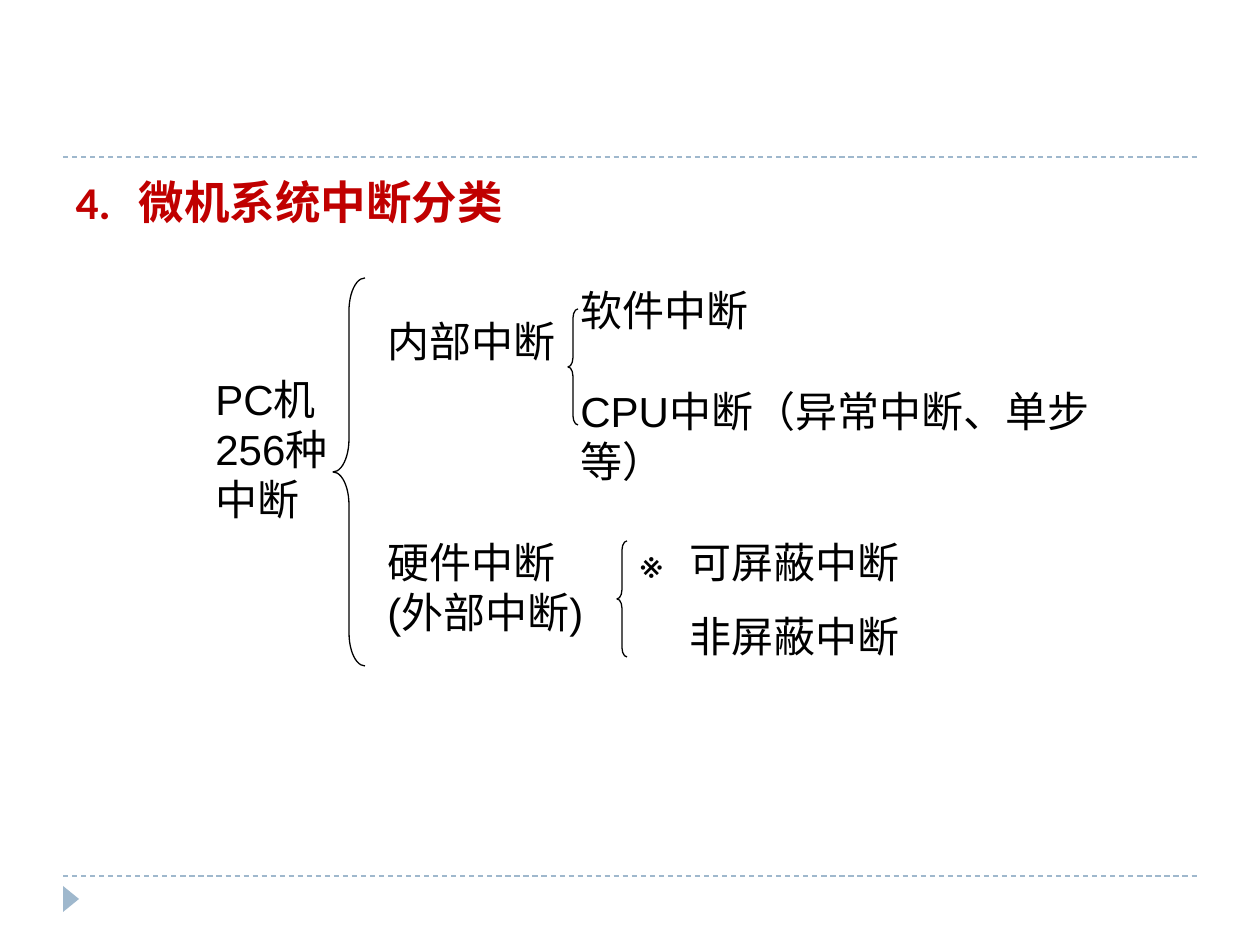
from lxml.etree import SubElement
from pptx import Presentation
from pptx.dml.color import RGBColor
from pptx.enum.dml import MSO_LINE
from pptx.enum.shapes import MSO_CONNECTOR, MSO_SHAPE
from pptx.enum.text import MSO_ANCHOR, PP_ALIGN
from pptx.oxml.ns import qn
from pptx.util import Pt

HEAD = "4.\t微机系统中断分类"
LABELS = [
    ((375, 309, 195, 63), ["内部中断"], 0),
    ((375, 530, 223, 115), ["硬件中断", "(外部中断)"], 0),
    ((568, 278, 617, 165), ["软件中断", "CPU中断（异常中断、单步等）"], 29),
    ((203, 367, 140, 165), ["PC机", "256种", "中断"], 0),
    ((677, 530, 237, 63), ["可屏蔽中断"], 0),
    ((677, 604, 237, 63), ["非屏蔽中断"], 0),
    ((627, 530, 68, 64), ["※"], 0),
]
BRACES = [
    ((333, 278, 32, 388), 1.03),
    ((617, 541, 10, 116), 0.92),
    ((568, 309, 10, 116), 0.92),
]
RULES = [157, 876]
BLUE = "9FB8CD"


def px(n):
    return round(n * 914400 / 126)


def rgb(code):
    return RGBColor.from_string(code)


def write(frame, lines, size=24, font="Arial", color="000000", bold=False, gap=0):
    frame.word_wrap = True
    frame.vertical_anchor = MSO_ANCHOR.TOP
    for i, line in enumerate(lines):
        para = frame.paragraphs[0] if i == 0 else frame.add_paragraph()
        para.alignment = PP_ALIGN.LEFT
        para.space_before = Pt(gap if i else 0)
        run = para.add_run()
        run.text = line
        run.font.size = Pt(size)
        run.font.name = font
        run.font.bold = bold
        run.font.color.rgb = rgb(color)


def place(shape, box):
    shape.left, shape.top, shape.width, shape.height = map(px, box)


def draw(kind, box):
    shape = shapes.add_shape(kind, *map(px, box))
    shape.shadow.inherit = False
    return shape


deck = Presentation()
deck.slide_width, deck.slide_height = px(1260), px(945)
slide = deck.slides.add_slide(deck.slide_layouts[1])
shapes = slide.shapes
title = shapes.title
title.element.getparent().remove(title.element)

for y in RULES:
    rule = shapes.add_connector(MSO_CONNECTOR.STRAIGHT, px(63), px(y), px(1197), px(y))
    rule.line.color.rgb = rgb(BLUE)
    rule.line.width = Pt(0.75)
    rule.line.dash_style = MSO_LINE.DASH
    SubElement(rule.element.spPr, qn("a:effectLst"))

mark = draw(MSO_SHAPE.ISOSCELES_TRIANGLE, (58, 891, 26, 16))
mark.rotation = 90
mark.fill.solid()
mark.fill.fore_color.rgb = rgb(BLUE)
mark.line.fill.background()

body = slide.placeholders[1]
place(body, (63, 168, 1134, 680))
props = body.text_frame.paragraphs[0]._p.get_or_add_pPr()
props.set("marL", "0")
props.set("indent", "0")
SubElement(props, qn("a:buNone"))
tabs = SubElement(props, qn("a:tabLst"))
SubElement(tabs, qn("a:tab"), pos=str(px(57)), algn="l")
write(body.text_frame, [HEAD], size=26, font="Calibri", color="C00000", bold=True)

for box, lines, gap in LABELS:
    write(shapes.add_textbox(*map(px, box)).text_frame, lines, gap=gap)

for box, curve in BRACES:
    brace = draw(MSO_SHAPE.LEFT_BRACE, box)
    brace.adjustments[0] = curve
    brace.fill.background()
    brace.line.color.rgb = rgb("000000")
    brace.line.width = Pt(0.75)

deck.save("out.pptx")
